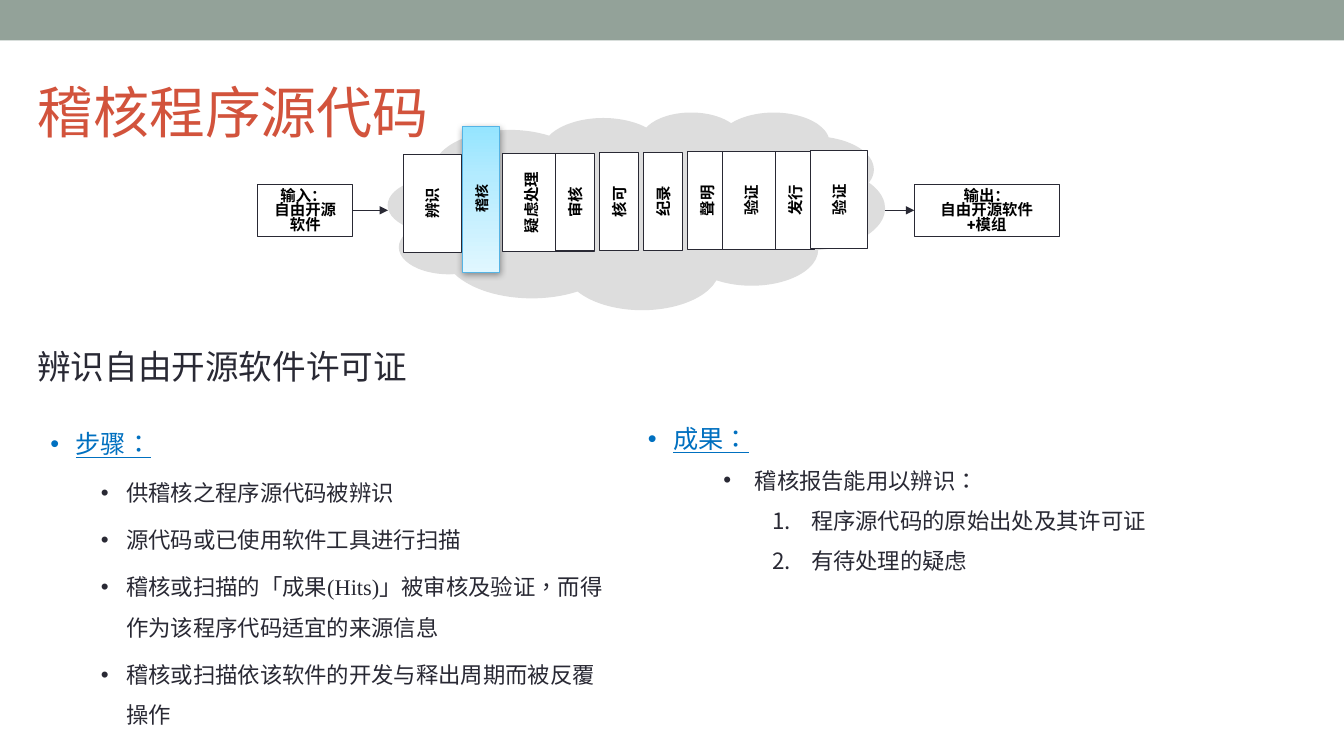
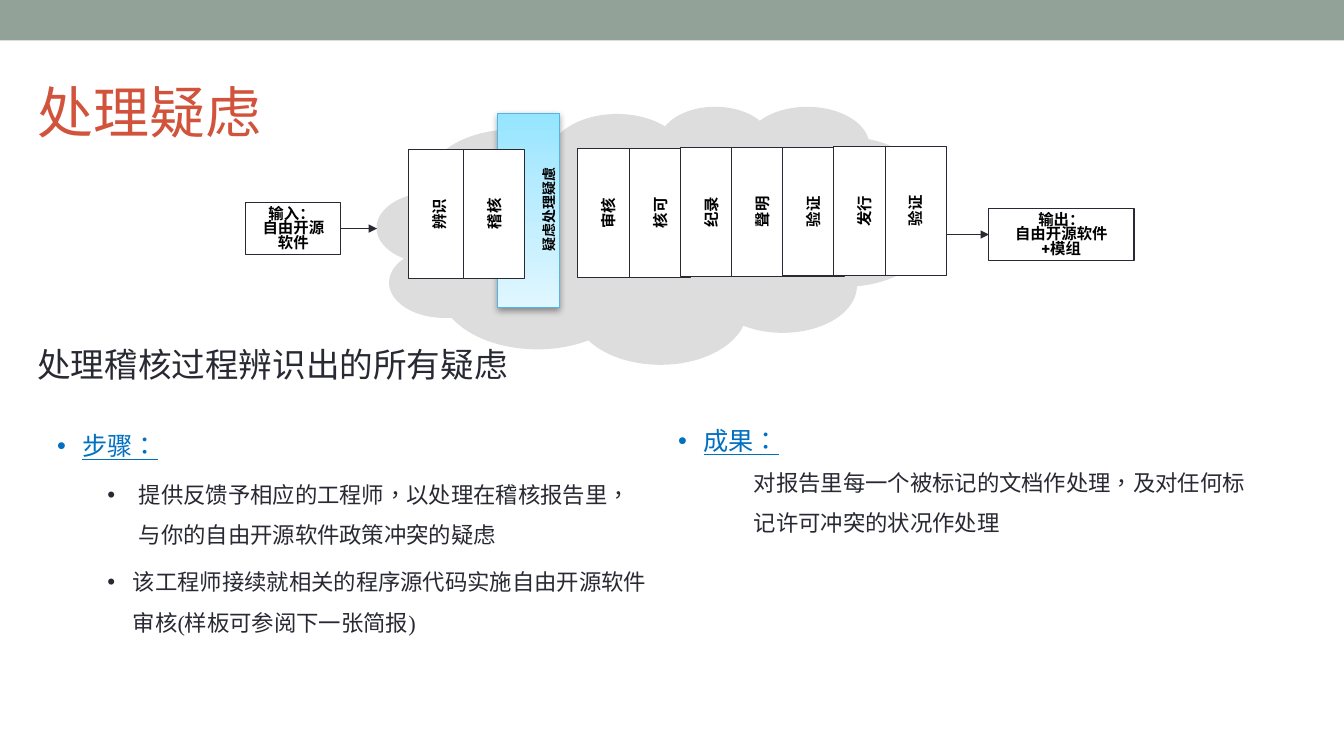
from dataclasses import dataclass

from lxml.etree import SubElement
from pptx import Presentation
from pptx.dml.color import RGBColor
from pptx.enum.lang import MSO_LANGUAGE_ID as Language
from pptx.enum.shapes import MSO_CONNECTOR as Connector, MSO_SHAPE as Shape
from pptx.enum.text import MSO_ANCHOR as Anchor, PP_ALIGN as Align
from pptx.oxml import parse_xml
from pptx.oxml.ns import nsdecls, qn
from pptx.util import Cm, Pt

SAGE = RGBColor(0x93, 0xA2, 0x99)
RED = RGBColor(0xD2, 0x53, 0x3C)
BLUE = RGBColor(0x00, 0x70, 0xC0)
INK = RGBColor(0x29, 0x29, 0x34)
BLACK = RGBColor(0x00, 0x00, 0x00)
WHITE = RGBColor(0xFF, 0xFF, 0xFF)
CLOUD_GREY = RGBColor(0xDD, 0xDD, 0xDD)
SKY_LINE = RGBColor(0x55, 0xB4, 0xE5)
SKY_STOPS = (
    (0, RGBColor(0x95, 0xE5, 0xFF)),
    (35, RGBColor(0xB4, 0xEB, 0xFF)),
    (100, RGBColor(0xE0, 0xF7, 0xFF)),
)
BODY_FONT, DIAGRAM_FONT = "Times New Roman", "Roboto"
LEFT_SIDE, RIGHT_SIDE = 1, 3


@dataclass(frozen=True)
class ListStyle:
    margin: float
    hang: float = 0
    bullet: str = ""
    level: int = 0
    before: float = 0
    size: int = 16
    color: RGBColor = INK
    underline: bool = False


HEADING = ListStyle(0.64, 0.64, "•", size=18, color=BLUE, underline=True)
STEP = ListStyle(1.91, 0.64, "•", level=1, before=5)
WIDE_STEP = ListStyle(2.06, 0.79, "•", level=1, before=5)
RESULT = ListStyle(2.69, 0.79, "•")
NUMBERED = ListStyle(4.11, 0.97, "number", level=1)
PLAIN = ListStyle(1.91)

INPUT_LINES = ("输入： ", "自由开源软件")
OUTPUT_LINES = ("输出：", "自由开源软件", "+模组")
PROCESS = ("辨识", "稽核", "疑虑处理", "审核", "核可",
           "纪录", "聲明", "验证", "发行", "验证")
WIDE_PROCESS = {0, 2, 7, 9}
LEAD_COUNT = 3

# Boxes are (left, top, width, height) in centimetres.
TITLE_BOX = (0.69, 1.42, 30.48, 2.74)
SLIDES = [
    {
        "title": "稽核程序源代码",
        "subtitle": "辨识自由开源软件许可证",
        "subtitle_box": (0.69, 8.58, 20, 1.27),
        "lists": [
            ((16.08, 10.16, 16.05, 6.4), [
                ("成果：", HEADING),
                ("稽核报告能用以辨识：", RESULT),
                ("程序源代码的原始出处及其许可证", NUMBERED),
                ("有待处理的疑虑", NUMBERED),
            ]),
            ((1.02, 10.29, 14.76, 7.26), [
                ("步骤：", HEADING),
                ("供稽核之程序源代码被辨识", STEP),
                ("源代码或已使用软件工具进行扫描", STEP),
                ("稽核或扫描的「成果(Hits)」被审核及验证，而得作为该程序代码适宜的来源信息", STEP),
                ("稽核或扫描依该软件的开发与释出周期而被反覆操作", STEP),
            ]),
        ],
        "cloud": (9.78, 2.82, 12.52, 4.98),
        "input": (6.5, 4.65, 2.39, 1.3),
        "output": (23.04, 4.65, 3.66, 1.3),
        "highlight": (11.66, 3.2, 0.94, 3.66),
        "current": 1,
        "current_label": "稽核",
        "first_x": 10.9, "lead_pitch": 1.24,
        "last_x": 21.15, "pitch": 1.11,
        "middle_y": 5.12, "length": 2.47, "wide": 1.45, "narrow": 0.99,
    },
    {
        "title": "处理疑虑",
        "subtitle": "处理稽核过程辨识出的所有疑虑",
        "subtitle_box": (0.69, 8.53, 20, 1.27),
        "lists": [
            ((16.84, 10.21, 15.29, 6.4), [
                ("成果：", HEADING),
                ("对报告里每一个被标记的文档作处理，及对任何标记许可冲突的状况作处理", PLAIN),
            ]),
            ((1.19, 10.34, 15.37, 7.26), [
                ("步骤：", HEADING),
                ("提供反馈予相应的工程师，以处理在稽核报告里，与你的自由开源软件政策冲突的疑虑", WIDE_STEP),
                ("该工程师接续就相关的程序源代码实施自由开源软件审核(样板可参阅下一张简报)", STEP),
            ]),
        ],
        "cloud": (9.5, 2.67, 13.97, 6.5),
        "input": (6.2, 5.11, 2.39, 1.3),
        "output": (24.92, 5.26, 3.66, 1.3),
        "highlight": (12.55, 2.87, 1.55, 4.88),
        "current": 2,
        "current_label": "疑虑处理疑慮",
        "first_x": 11.07, "lead_pitch": 1.38,
        "last_x": 23.08, "pitch": 1.29,
        "middle_y": 5.4, "length": 3.25, "wide": 1.55, "narrow": 1.55,
    },
]


def lengths(box):
    return [Cm(value) for value in box]


def add_run(paragraph, text, size, color, font_name=BODY_FONT, bold=None,
            language=Language.TRADITIONAL_CHINESE):
    run = paragraph.add_run()
    run.text = text
    font = run.font
    font.size, font.name, font.bold = Pt(size), font_name, bold
    font.color.rgb = color
    font.language_id = language
    return run


def add_diagram_run(paragraph, text, size=11):
    paragraph.alignment = Align.CENTER
    add_run(paragraph, text, size, BLACK, DIAGRAM_FONT, True, Language.SIMPLIFIED_CHINESE)


def add_text_box(slide, box, anchor=Anchor.TOP):
    shape = slide.shapes.add_textbox(*lengths(box))
    shape.text_frame.word_wrap = True
    shape.text_frame.vertical_anchor = anchor
    return shape


def add_filled_shape(slide, box, fill, line=None, preset=Shape.RECTANGLE):
    shape = slide.shapes.add_shape(preset, *lengths(box))
    shape.shadow.inherit = False
    shape.fill.solid()
    shape.fill.fore_color.rgb = fill
    if line is None:
        shape.line.fill.background()
    else:
        shape.line.color.rgb = line
        shape.line.width = Pt(0.75)
    return shape


def add_band_to_layout(slide, width):
    """Draw the top band and move it to the layout that all slides share."""
    band = add_filled_shape(slide, (0, 0, width.cm, 1.02), SAGE)
    slide.slide_layout.shapes.element.append(band.element)


def format_list_paragraph(paragraph, style):
    paragraph.level = style.level
    paragraph.line_spacing = 1.5
    paragraph.space_before = Pt(style.before)
    properties = paragraph._p.get_or_add_pPr()
    properties.set("marL", str(Cm(style.margin)))
    properties.set("indent", str(-Cm(style.hang)))
    if not style.bullet:
        SubElement(properties, qn("a:buNone"))
        return
    bullet_color = SubElement(properties, qn("a:buClr"))
    SubElement(bullet_color, qn("a:srgbClr"), val=str(style.color))
    if style.bullet == "number":
        SubElement(properties, qn("a:buAutoNum"), type="arabicPeriod")
    else:
        SubElement(properties, qn("a:buFont"), typeface="Arial")
        SubElement(properties, qn("a:buChar"), char=style.bullet)


def add_list(slide, box, items):
    frame = add_text_box(slide, box).text_frame
    for index, (text, style) in enumerate(items):
        paragraph = frame.add_paragraph() if index else frame.paragraphs[0]
        format_list_paragraph(paragraph, style)
        run = add_run(paragraph, text, style.size, style.color)
        run.font.underline = style.underline


def add_end_box(slide, box, lines):
    shape = add_filled_shape(slide, box, WHITE, INK)
    frame = shape.text_frame
    frame.vertical_anchor = Anchor.TOP
    for index, text in enumerate(lines):
        paragraph = frame.add_paragraph() if index else frame.paragraphs[0]
        paragraph.line_spacing = Pt(10.5)
        add_diagram_run(paragraph, text)
    return shape


def add_arrow(slide, start, end):
    arrow = slide.shapes.add_connector(Connector.STRAIGHT, *start, *end)
    arrow.line.color.rgb = INK
    arrow.line.width = Pt(0.75)
    SubElement(arrow.line._get_or_add_ln(), qn("a:tailEnd"), type="triangle")
    SubElement(arrow.element.spPr, qn("a:effectLst"))
    return arrow


def add_highlight(slide, box):
    shape = add_filled_shape(slide, box, WHITE, SKY_LINE)
    stops = "".join(
        f'<a:gs pos="{position * 1000}"><a:srgbClr val="{color}"/></a:gs>'
        for position, color in SKY_STOPS)
    properties = shape.element.spPr
    properties.replace(properties.find(qn("a:solidFill")), parse_xml(
        f'<a:gradFill {nsdecls("a")} rotWithShape="1"><a:gsLst>{stops}</a:gsLst>'
        '<a:lin ang="5400000" scaled="0"/></a:gradFill>'))
    properties.find(qn("a:effectLst")).append(parse_xml(
        f'<a:outerShdw {nsdecls("a")} blurRad="{Pt(5)}" dist="{Pt(1.6)}" dir="5400000" '
        'rotWithShape="0"><a:srgbClr val="000000"><a:alpha val="38000"/></a:srgbClr>'
        '</a:outerShdw>'))


def turned_box(center_x, center_y, length, thickness):
    """Box that stands upright around the centre once it is turned by 270 degrees."""
    return center_x - length / 2, center_y - thickness / 2, length, thickness


def add_process(slide, content):
    last = len(PROCESS) - 1
    add_highlight(slide, content["highlight"])
    for index, name in enumerate(PROCESS):
        if index < LEAD_COUNT:
            x = content["first_x"] + index * content["lead_pitch"]
        else:
            x = content["last_x"] - (last - index) * content["pitch"]
        y = content["middle_y"] - 0.01 * index
        if index == content["current"]:
            _, _, thickness, length = content["highlight"]
            box = turned_box(x, y - 0.1, length, thickness)
            shape = add_text_box(slide, box, Anchor.MIDDLE)
            name, size = content["current_label"], 10
        else:
            thickness = content["wide" if index in WIDE_PROCESS else "narrow"]
            box = turned_box(x, y, content["length"], thickness)
            shape, size = add_filled_shape(slide, box, WHITE, INK), 11
        shape.rotation = 270
        add_diagram_run(shape.text_frame.paragraphs[0], name, size)


def add_diagram(slide, content):
    cloud = add_filled_shape(slide, content["cloud"], CLOUD_GREY, preset=Shape.CLOUD_CALLOUT)
    cloud.adjustments[0], cloud.adjustments[1] = -0.25, 0.16
    source = add_end_box(slide, content["input"], INPUT_LINES)
    target = add_end_box(slide, content["output"], OUTPUT_LINES)
    source_y = source.top + source.height // 2
    target_y = target.top + target.height // 2
    arrow_in = add_arrow(slide, (source.left + source.width, source_y), (cloud.left, source_y))
    arrow_in.begin_connect(source, RIGHT_SIDE)
    arrow_out = add_arrow(slide, (cloud.left + cloud.width, target_y), (target.left, target_y))
    arrow_out.end_connect(target, LEFT_SIDE)
    add_process(slide, content)


def add_content(slide, content):
    title = add_text_box(slide, TITLE_BOX, Anchor.MIDDLE)
    add_run(title.text_frame.paragraphs[0], content["title"], 40, RED)
    subtitle = add_text_box(slide, content["subtitle_box"])
    add_run(subtitle.text_frame.paragraphs[0], content["subtitle"], 24, INK)
    for box, items in content["lists"]:
        add_list(slide, box, items)
    add_diagram(slide, content)


def main():
    presentation = Presentation()
    presentation.slide_width, presentation.slide_height = Cm(33.87), Cm(19.05)
    blank_layout = presentation.slide_layouts[6]
    for index, content in enumerate(SLIDES):
        slide = presentation.slides.add_slide(blank_layout)
        if index == 0:
            add_band_to_layout(slide, presentation.slide_width)
        add_content(slide, content)
    presentation.save("out.pptx")


if __name__ == "__main__":
    main()
